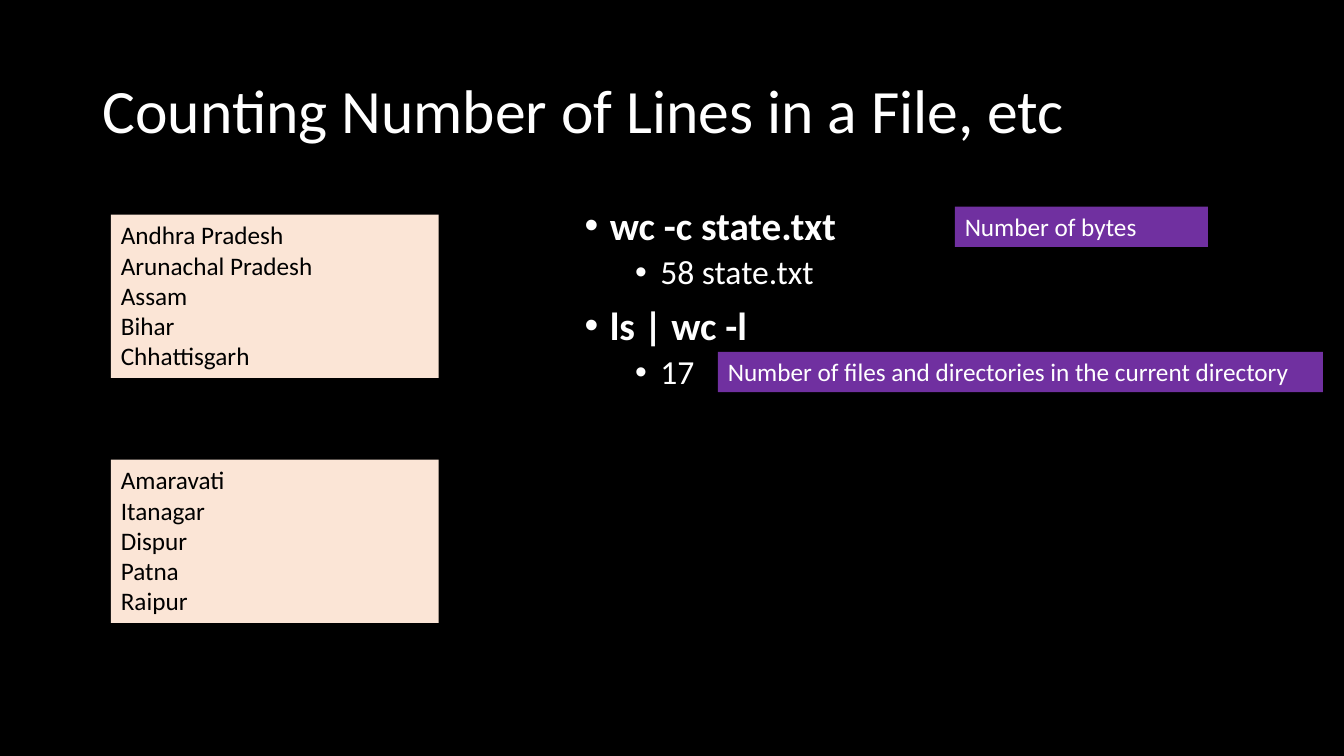
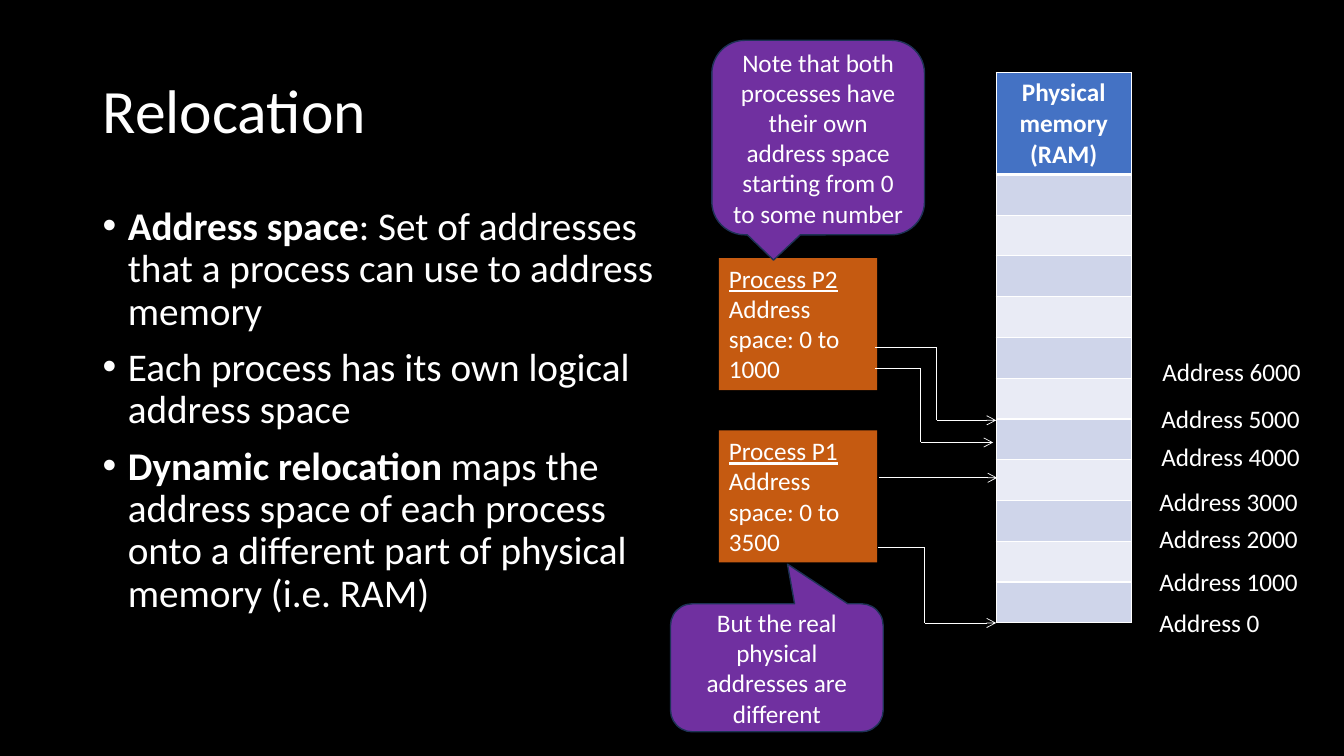
from dataclasses import dataclass

from lxml.etree import SubElement
from pptx import Presentation
from pptx.dml.color import RGBColor
from pptx.enum.shapes import MSO_CONNECTOR, MSO_SHAPE
from pptx.enum.text import MSO_ANCHOR, MSO_AUTO_SIZE, PP_ALIGN
from pptx.oxml.ns import qn
from pptx.util import Pt

PX = 9144  # EMU in one px, 100 px to the inch


@dataclass(frozen=True)
class Theme:
    font: str = "Calibri"
    background: str = "000000"
    light: str = "FFFFFF"
    dark: str = "000000"
    file_fill: str = "FBE5D6"
    note_fill: str = "7030A0"
    note_line: str = "1E3256"
    process_fill: str = "C55A11"
    header_fill: str = "4472C4"
    bands: tuple = ("CFD5EA", "E9EBF5")
    title_size: int = 44
    body_sizes: tuple = (28, 24)
    label_size: int = 18


THEME = Theme()


def px(*lengths):
    return [round(length * PX) for length in lengths]


def rgb(value):
    return RGBColor.from_string(value)


def paint(target, color):
    target.fill.solid()
    target.fill.fore_color.rgb = rgb(color)


# Text
def add_run(p, text, size, color=THEME.light, **formats):
    r = p.add_run()
    r.text = text
    r.font.color.rgb = rgb(color)
    values = {"name": THEME.font, "size": Pt(size), **formats}
    for name, value in values.items():
        setattr(r.font, name, value)


def next_paragraph(tf, first):
    return tf.paragraphs[0] if first else tf.add_paragraph()


def add_text_box(s, at, anchor=MSO_ANCHOR.TOP, auto_size=MSO_AUTO_SIZE.NONE):
    sp = s.shapes.add_textbox(*px(*at))
    tf = sp.text_frame
    formats = {"word_wrap": True, "vertical_anchor": anchor, "auto_size": auto_size}
    for name, value in formats.items():
        setattr(tf, name, value)
    return sp


def add_title(s, text):
    tf = add_text_box(s, (92, 40, 1150, 145), MSO_ANCHOR.MIDDLE).text_frame
    p = tf.paragraphs[0]
    p.line_spacing = 0.9
    add_run(p, text, THEME.title_size)


def add_bullets(s, at, items):
    """Each item is a level, its bold lead and the plain text after it."""
    tf = add_text_box(s, at).text_frame
    for i, (level, lead, rest) in enumerate(items):
        p = next_paragraph(tf, i == 0)
        p.level = level
        p.line_spacing = 0.9
        p.space_before = Pt((10, 5)[level] if i else 0)
        margin, hang = px(25 + 50 * level, -25)
        pPr = p._p.get_or_add_pPr()
        pPr.set("marL", str(margin))
        pPr.set("indent", str(hang))
        SubElement(pPr, qn("a:buFont"), typeface="Arial")
        SubElement(pPr, qn("a:buChar"), char="•")
        for text, bold in ((lead, True), (rest, False)):
            if text:
                add_run(p, text, THEME.body_sizes[level], bold=bold)


def add_label(s, at, lines, fill=None, color=THEME.light, heading=False):
    sp = add_text_box(s, at, auto_size=MSO_AUTO_SIZE.SHAPE_TO_FIT_TEXT)
    if fill:
        paint(sp, fill)
    for i, line in enumerate(lines):
        p = next_paragraph(sp.text_frame, i == 0)
        add_run(p, line, THEME.label_size, color, underline=heading and i == 0)


# Shapes and lines
def add_callout(s, at, text, pointer):
    sp = s.shapes.add_shape(MSO_SHAPE.ROUNDED_RECTANGULAR_CALLOUT, *px(*at))
    sp.shadow.inherit = False
    paint(sp, THEME.note_fill)
    sp.line.color.rgb = rgb(THEME.note_line)
    sp.line.width = Pt(1)
    for i, value in enumerate(pointer):
        sp.adjustments[i] = value
    tf = sp.text_frame
    tf.word_wrap = True
    tf.vertical_anchor = MSO_ANCHOR.MIDDLE
    p = tf.paragraphs[0]
    p.alignment = PP_ALIGN.CENTER
    add_run(p, text, THEME.label_size)


def add_route(s, points):
    """Join the points by straight lines, with an arrowhead at the last."""
    for start, end in zip(points, points[1:]):
        line = s.shapes.add_connector(MSO_CONNECTOR.STRAIGHT, *px(*start, *end))
        line.line.color.rgb = rgb(THEME.light)
        line.line.width = Pt(0.5)
        if end == points[-1]:
            SubElement(line.line._get_or_add_ln(), qn("a:tailEnd"), type="arrow")
        SubElement(line._element.spPr, qn("a:effectLst"))


# Table
def add_borders(cell, top=1, bottom=1):
    tcPr = cell._tc.get_or_add_tcPr()
    for side, width in {"L": 1, "R": 1, "T": top, "B": bottom}.items():
        ln = SubElement(tcPr, qn(f"a:ln{side}"), w=str(Pt(width)))
        SubElement(SubElement(ln, qn("a:solidFill")), qn("a:srgbClr"), val=THEME.light)


def add_memory_table(s, at, header, header_height, slots):
    left, top, width, height = at
    table = s.shapes.add_table(slots + 1, 1, *px(*at)).table
    table.horz_banding = False
    slot_height = (height - header_height) / slots
    for i, row in enumerate(table.rows):
        row.height = px(slot_height if i else header_height)[0]
        cell = table.cell(i, 0)
        add_borders(cell, top=3 if i == 1 else 1, bottom=1 if i else 3)
        paint(cell, THEME.bands[(i - 1) % 2] if i else THEME.header_fill)
        if i:
            cell.margin_top = cell.margin_bottom = 0
    p = table.cell(0, 0).text_frame.paragraphs[0]
    p.alignment = PP_ALIGN.CENTER
    add_run(p, header, THEME.label_size, bold=True)


# Slides
def build_counting(s):
    add_title(s, "Counting Number of Lines in a File, etc")
    add_bullets(s, (570, 200, 672, 476), [
        (0, "wc -c state.txt", ""),
        (1, "", "58 state.txt"),
        (0, "ls | wc -l", ""),
        (1, "", "17"),
    ])
    files = {
        213: ["Andhra Pradesh", "Arunachal Pradesh", "Assam", "Bihar", "Chhattisgarh"],
        456: ["Amaravati", "Itanagar", "Dispur", "Patna", "Raipur"],
    }
    for top, lines in files.items():
        add_label(s, (110, top, 325, 162), lines, THEME.file_fill, THEME.dark)
    notes = {
        "Number of bytes": (947, 205, 251, 40),
        "Number of files and directories in the current directory": (712, 349, 600, 40),
    }
    for text, at in notes.items():
        add_label(s, at, [text], THEME.note_fill)


def build_relocation(s):
    add_title(s, "Relocation")
    add_bullets(s, (92, 200, 567, 476), [
        (0, "Address space", ": Set of addresses that a process can use to address memory"),
        (0, "", "Each process has its own logical address space"),
        (0, "Dynamic relocation", " maps the address space of each process onto "
                                  "a different part of physical memory (i.e. RAM)"),
    ])
    add_memory_table(s, (988, 72, 134, 546), "Physical memory (RAM)", 101, 11)

    # Processes and memory addresses
    for name, last, top in (("P2", 1000, 256), ("P1", 3500, 427)):
        lines = [f"Process {name}", f"Address space: 0 to {last}"]
        add_label(s, (713, top, 157, 131), lines, THEME.process_fill, heading=True)
    address_places = [(1140, 598), (1140, 557), (1140, 514), (1140, 478),
                      (1142, 433), (1142, 395), (1143, 349)]
    for i, place in enumerate(address_places):
        add_label(s, (*place, 178, 40), [f"Address {i * 1000}"])

    # Mapping arrows
    routes = [
        [(871, 543), (917, 543), (917, 618), (988, 618)],
        [(872, 474), (989, 474)],
        [(868, 365), (913, 365), (913, 439), (985, 439)],
        [(868, 345), (929, 345), (929, 417), (988, 417)],
    ]
    for points in routes:
        add_route(s, points)

    # Callouts
    add_callout(s, (706, 40, 211, 193),
                "Note that both processes have their own address space "
                "starting from 0 to some number", (-0.21, 0.63, 0.17))
    add_callout(s, (665, 599, 211, 127),
                "But the real physical addresses are different", (0.05, -0.81, 0.17))


def main():
    prs = Presentation()
    prs.slide_width, prs.slide_height = px(1333, 750)
    paint(prs.slide_master.background, THEME.background)
    for build in (build_counting, build_relocation):
        build(prs.slides.add_slide(prs.slide_layouts[6]))
    prs.save("out.pptx")


if __name__ == "__main__":
    main()
